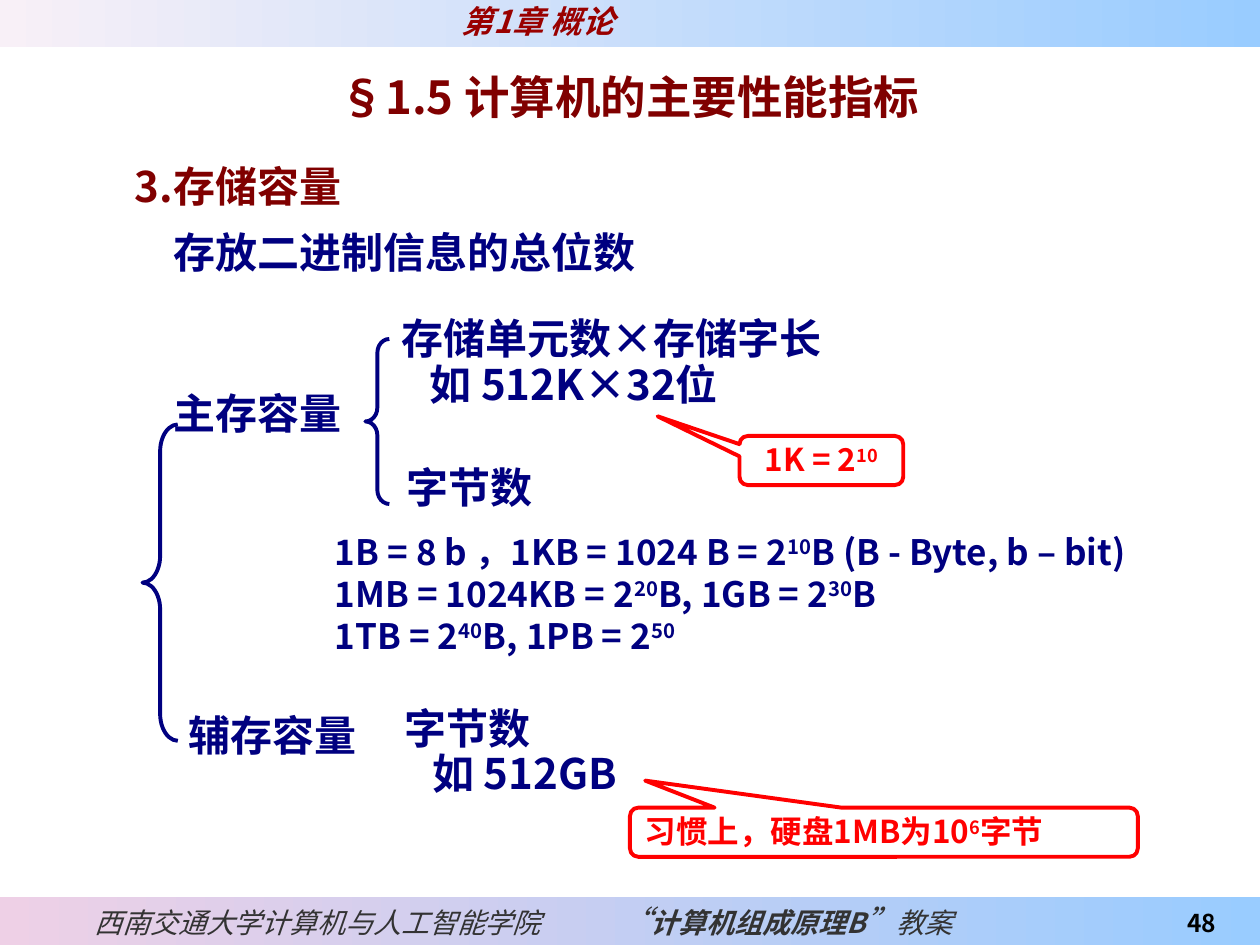
from lxml import etree
from pptx import Presentation
from pptx.dml.color import RGBColor
from pptx.enum.shapes import MSO_SHAPE
from pptx.enum.text import MSO_ANCHOR, PP_ALIGN
from pptx.oxml.ns import qn
from pptx.util import Pt

RECTANGLE = MSO_SHAPE.RECTANGLE
BRACE = MSO_SHAPE.LEFT_BRACE
CALLOUT = MSO_SHAPE.ROUNDED_RECTANGULAR_CALLOUT
LEFT, CENTER, RIGHT = PP_ALIGN.LEFT, PP_ALIGN.CENTER, PP_ALIGN.RIGHT
TOP, MIDDLE, BOTTOM = MSO_ANCHOR.TOP, MSO_ANCHOR.MIDDLE, MSO_ANCHOR.BOTTOM

NAVY = RGBColor(0x00, 0x00, 0x80)
MAROON = RGBColor(0x80, 0x00, 0x00)
CRIMSON = RGBColor(0x99, 0x00, 0x00)
RED = RGBColor(0xFF, 0x00, 0x00)
BLACK = RGBColor(0x00, 0x00, 0x00)
GRAY = RGBColor(0x33, 0x33, 0x33)
SKY = RGBColor(0x99, 0xCC, 0xFF)
PINK = RGBColor(0xEE, 0xD0, 0xE6)
PALE = RGBColor(0xF8, 0xF0, 0xF7)

FONT = "Noto Sans CJK SC"


def write(shape, lines, size=24, color=NAVY, bold=True, italic=False,
          align=LEFT, anchor=TOP, spacing=0.9, before=0, indents=None,
          colors=None, insets=(7.2, 3.6, 7.2, 3.6), tab=None):
    """Fill a shape with text lines.

    A line is a string, where ^10^ is a power, or a list of
    (text, size, bold) parts.
    """
    frame = shape.text_frame
    frame.word_wrap = True
    frame.vertical_anchor = anchor
    (frame.margin_left, frame.margin_top,
     frame.margin_right, frame.margin_bottom) = map(Pt, insets)
    for number, line in enumerate(lines):
        paragraph = frame.add_paragraph() if number else frame.paragraphs[0]
        paragraph.alignment = align
        paragraph.line_spacing = spacing
        if number and before:
            paragraph.space_before = Pt(before)
        properties = paragraph._p.get_or_add_pPr()
        if indents:
            properties.set("marL", str(Pt(indents[number])))
        if tab:
            stops = etree.SubElement(properties, qn("a:tabLst"))
            etree.SubElement(stops, qn("a:tab"), pos=str(Pt(tab)), algn="l")
        is_power = isinstance(line, str)
        parts = ([(part, size, bold) for part in line.split("^")]
                 if is_power else line)
        for place, (part, part_size, part_bold) in enumerate(parts):
            if not part:
                continue
            run = paragraph.add_run()
            run.text = part
            run.font.size = Pt(part_size)
            run.font.bold = part_bold
            run.font.italic = italic
            run.font.name = FONT
            run.font.color.rgb = colors[number] if colors else color
            style = run._r.get_or_add_rPr()
            etree.SubElement(style, qn("a:ea"), typeface=FONT)
            if is_power and place % 2:
                style.set("baseline", "30000")


class SlideBuilder:
    line_width = 2.25

    def __init__(self, slide):
        self.slide = slide

    def shape(self, kind, box, adjustments=()):
        shape = self.slide.shapes.add_shape(kind, *map(Pt, box))
        shape.shadow.inherit = False
        for number, value in enumerate(adjustments):
            shape.adjustments[number] = value
        return shape

    def band(self, box, start, end, lines, **style):
        band = self.shape(RECTANGLE, box)
        band.fill.gradient()
        band.fill.gradient_angle = 0
        for stop, color in zip(band.fill.gradient_stops, (start, end)):
            stop.color.rgb = color
        band.line.fill.background()
        write(band, lines, **style)

    def outline(self, kind, box, adjustments, color):
        outline = self.shape(kind, box, adjustments)
        outline.fill.background()
        outline.line.color.rgb = color
        outline.line.width = Pt(self.line_width)
        return outline

    def brace(self, box, curve):
        self.outline(BRACE, box, (curve, 0.5), NAVY)

    def callout(self, box, tip, line, align=LEFT):
        callout = self.outline(CALLOUT, box, (*tip, 0.17), RED)
        write(callout, [line], size=18, color=RED, align=align)

    def text(self, box, lines, **style):
        write(self.slide.shapes.add_textbox(*map(Pt, box)), lines, **style)


def main():
    deck = Presentation()
    deck.slide_width, deck.slide_height = Pt(720), Pt(540)
    page = SlideBuilder(deck.slides.add_slide(deck.slide_layouts[6]))

    # Footer and header bands
    page.band((0, 512.75, 720, 27.25), PINK, SKY,
              [[("西南交通大学计算机与人工智能学院\t", 16, False),
                ("“", 18, False), ("计算机组成原理B", 16, True),
                ("”", 18, False), ("教案", 16, False)]],
              color=GRAY, italic=True, anchor=MIDDLE, spacing=1,
              insets=(54, 3.6, 7.2, 3.6), tab=300)
    page.text((624, 512, 78, 27), ["48"], size=14, color=BLACK, align=RIGHT,
              anchor=BOTTOM, spacing=1, insets=(7.2, 0, 7.2, 3.6))
    page.band((0, 0, 720, 26.75), PALE, SKY, ["第1章 概论"], size=18,
              color=CRIMSON, italic=True, insets=(264, 3.6, 7.2, 3.6))

    # Title and definition
    page.text((0, 36, 720, 34.5), ["§1.5 计算机的主要性能指标"], size=26,
              color=MAROON, align=CENTER, spacing=1,
              insets=(7.2, 3.6, 7.2, 0))
    page.text((70, 91.5, 563, 74), ["3.存储容量", "存放二进制信息的总位数"],
              colors=(MAROON, NAVY), before=12, indents=(0, 22))

    # Main memory
    page.text((92.25, 221, 114.5, 33), ["主存容量"])
    page.brace((208.8, 193.7, 13.7, 94.3), 0.58)
    page.text((222.5, 178.5, 309.5, 60),
              ["存储单元数×存储字长", "如 512K×32位"], indents=(0, 16))
    page.callout((422.6, 249.1, 93.6, 28.1), (-1, -0.9), "1K = 2^10^", CENTER)
    page.text((225.4, 263.5, 489, 33), ["字节数"])

    # Byte units
    page.text((184.3, 299.5, 505.5, 80),
              ["1B = 8 b ，1KB = 1024 B = 2^10^B (B - Byte, b – bit)",
               "1MB = 1024KB = 2^20^B, 1GB = 2^30^B",
               "1TB = 2^40^B, 1PB = 2^50^"], size=20, spacing=1)

    # Auxiliary storage
    page.text((100.8, 405.4, 114.5, 33), ["辅存容量"])
    page.text((224, 401, 309.5, 60), ["字节数", "如 512GB"], indents=(0, 16))
    page.callout((360, 461.5, 290.2, 28.1), (-0.47, -1.05),
                 "习惯上，硬盘1MB为10^6^字节")

    # Brace joining both kinds of storage
    page.brace((81.4, 242.6, 20.2, 180.7), 0.76)

    deck.save("out.pptx")


if __name__ == "__main__":
    main()
